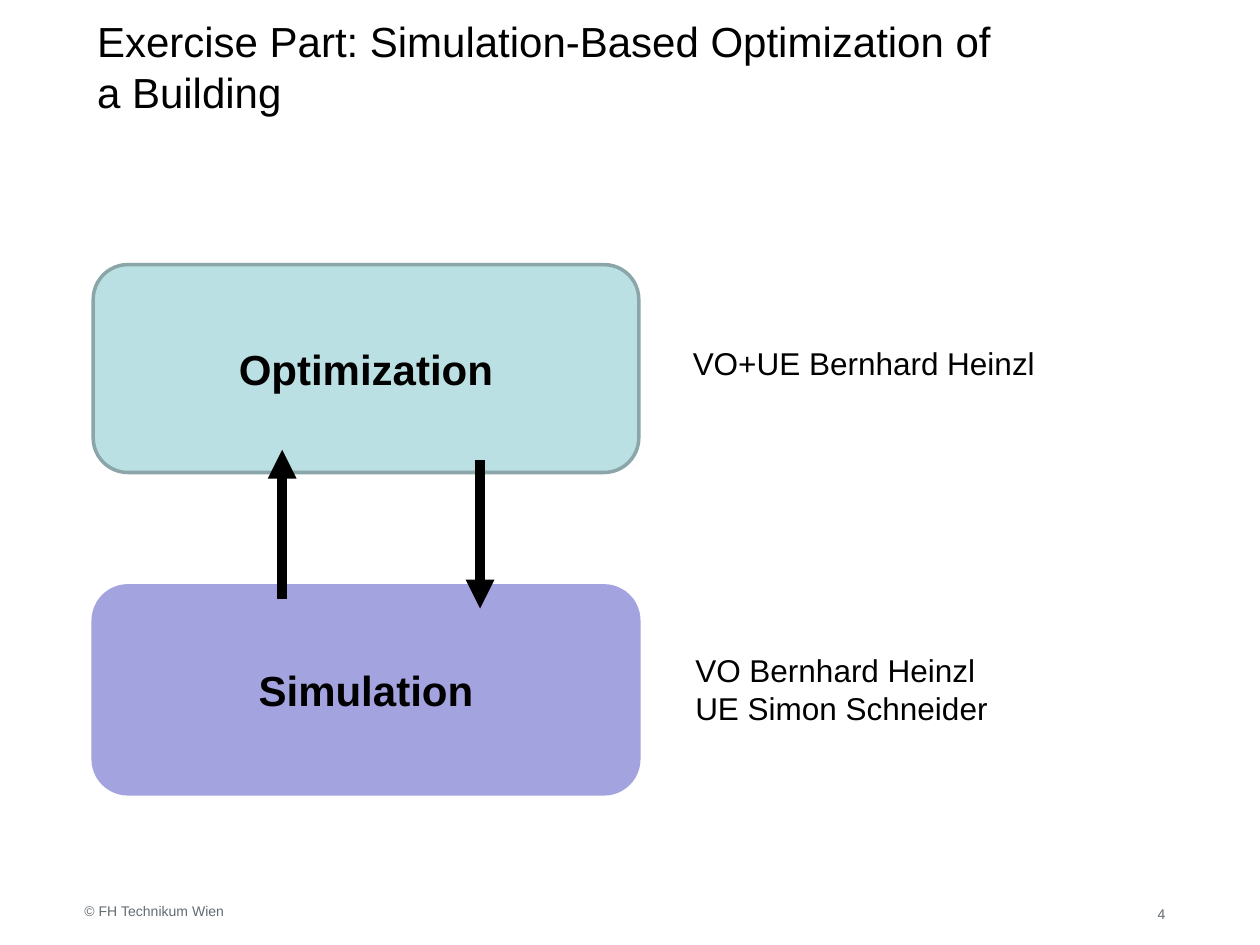
from lxml.etree import SubElement
from pptx import Presentation
from pptx.dml.color import RGBColor
from pptx.enum.shapes import MSO_CONNECTOR, MSO_SHAPE
from pptx.enum.text import MSO_ANCHOR, PP_ALIGN
from pptx.oxml.ns import qn
from pptx.util import Inches, Pt

BLACK = RGBColor(0x00, 0x00, 0x00)
GRAY = RGBColor(0x62, 0x6B, 0x71)
TEAL = RGBColor(0xBB, 0xE0, 0xE3)
TEAL_EDGE = RGBColor(0x8A, 0xA6, 0xA8)
VIOLET = RGBColor(0xA3, 0xA3, 0xE0)


def set_text(shape, lines, size, color=BLACK, bold=False, align=PP_ALIGN.LEFT):
    frame = shape.text_frame
    frame.word_wrap = True
    frame.text = "\n".join(lines)
    for para in frame.paragraphs:
        para.alignment = align
        para.font.name = "Arial"
        para.font.size = Pt(size)
        para.font.bold = bold
        para.font.color.rgb = color


def add_title(slide, text):
    title = slide.shapes.title
    title.left, title.top = Inches(0.67), Inches(0.36)
    title.width, title.height = Inches(7.48), Inches(0.68)
    set_text(title, [text], 24)
    frame = title.text_frame
    frame.vertical_anchor = MSO_ANCHOR.MIDDLE
    frame.margin_bottom = Inches(0.4)


def add_block(slide, top, name, fill, edge):
    block = slide.shapes.add_shape(
        MSO_SHAPE.ROUNDED_RECTANGLE,
        Inches(0.74), Inches(top), Inches(4.33), Inches(1.65))
    block.shadow.inherit = False
    block.fill.solid()
    block.fill.fore_color.rgb = fill
    block.line.color.rgb = edge
    block.line.width = Pt(2)
    set_text(block, [name], 24, bold=True, align=PP_ALIGN.CENTER)
    block.text_frame.vertical_anchor = MSO_ANCHOR.MIDDLE


def add_arrow(slide, x, start, end):
    arrow = slide.shapes.add_connector(
        MSO_CONNECTOR.STRAIGHT,
        Inches(x), Inches(start), Inches(x), Inches(end))
    arrow.line.color.rgb = BLACK
    arrow.line.width = Pt(5.5)
    SubElement(arrow.line._get_or_add_ln(), qn("a:tailEnd"), type="triangle")
    SubElement(arrow._element.spPr, qn("a:effectLst"))


def add_label(slide, left, top, height, lines):
    box = slide.shapes.add_textbox(
        Inches(left), Inches(top), Inches(3.46), Inches(height))
    set_text(box, lines, 18)


def add_footer(slide, left, width, inset, text, align):
    box = slide.shapes.add_textbox(
        Inches(left), Inches(6.98), Inches(width), Inches(0.36))
    set_text(box, [text], 8, GRAY, align=align)
    frame = box.text_frame
    frame.margin_left = frame.margin_right = 0
    frame.margin_top = Inches(inset)


def main():
    deck = Presentation()
    deck.slide_width, deck.slide_height = Inches(10), Inches(7.5)
    slide = deck.slides.add_slide(deck.slide_layouts[5])

    add_title(slide, "Exercise Part: Simulation-Based Optimization of a Building")
    add_footer(slide, 6.92, 2.33, 0.21, "4", PP_ALIGN.RIGHT)
    add_footer(slide, 0.67, 5.51, 0.18, "© FH Technikum Wien", PP_ALIGN.LEFT)

    add_block(slide, 2.1, "Optimization", TEAL, TEAL_EDGE)
    add_block(slide, 4.65, "Simulation", VIOLET, VIOLET)
    add_arrow(slide, 3.81, 3.65, 4.83)
    add_arrow(slide, 2.24, 4.75, 3.57)

    add_label(slide, 5.4, 2.68, 0.4, ["VO+UE Bernhard Heinzl"])
    add_label(slide, 5.42, 5.12, 0.71,
              ["VO Bernhard Heinzl", "UE Simon Schneider"])
    deck.save("out.pptx")


if __name__ == "__main__":
    main()
